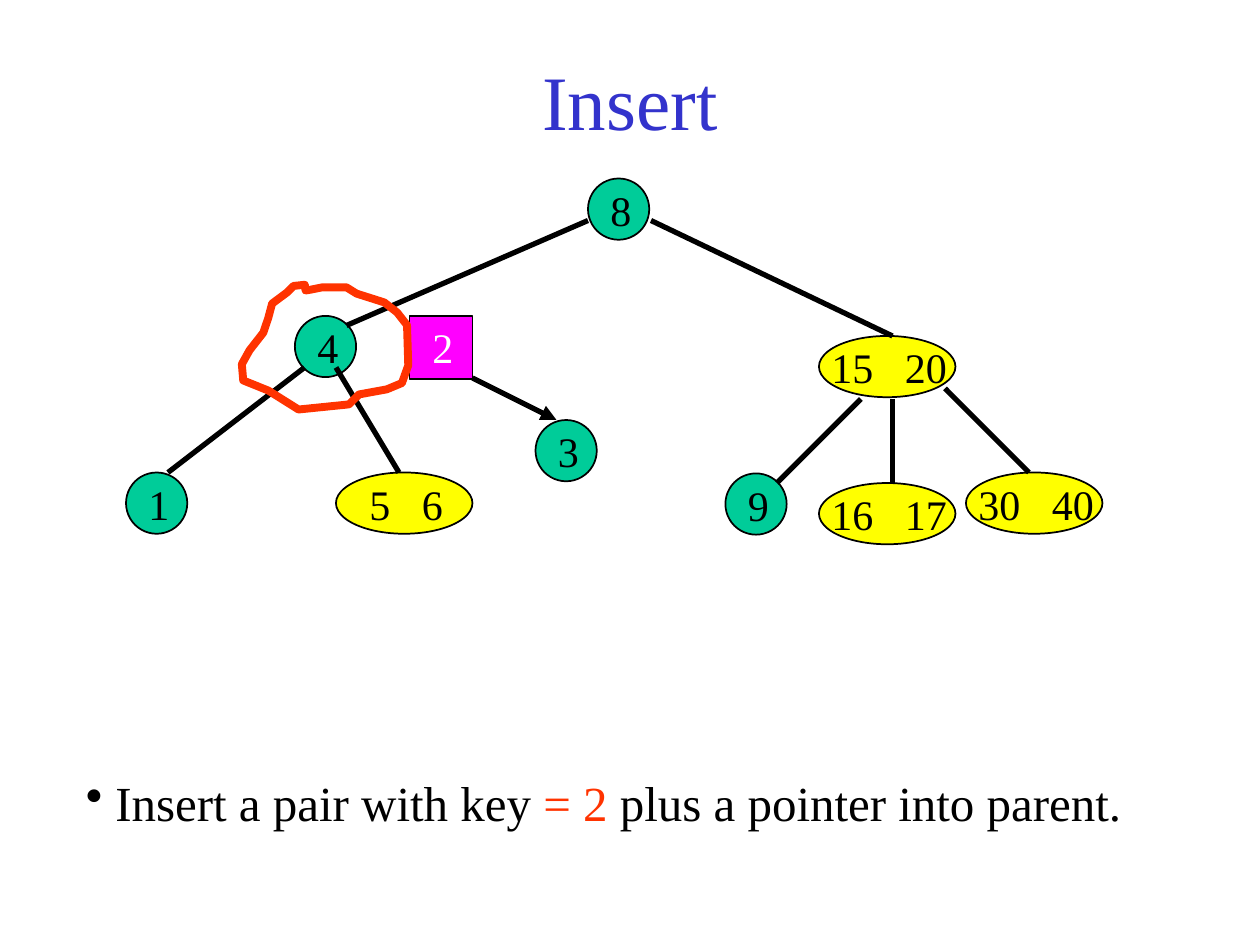
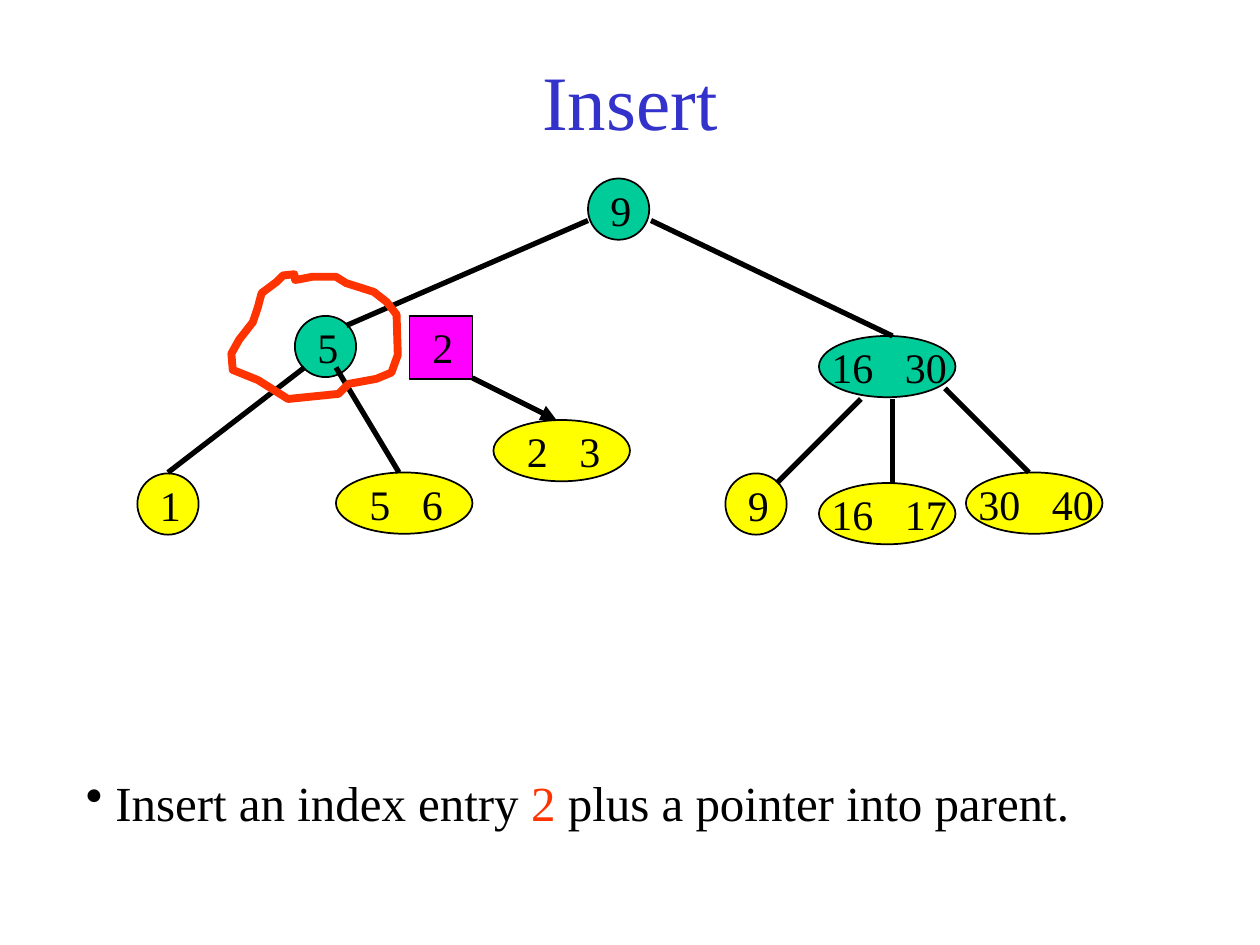
"""Two slides on insertion into a search tree: a key and a pointer move into the parent."""
import pptx
import pptx.dml.color
import pptx.enum.shapes
import pptx.enum.text
import pptx.oxml.ns
import pptx.util
from lxml import etree

Pt = pptx.util.Pt
SHAPE = pptx.enum.shapes.MSO_SHAPE
qn = pptx.oxml.ns.qn
FONT = "Times New Roman"
COLORS = {
    "title": "3333CC", "text": "000000", "light": "FFFFFF", "accent": "FF3300",
    "green": "00CC99", "yellow": "FFFF00", "entry": "FF00FF",
}
NODE_HEIGHT, NODE_WIDE, ENTRY_SIZE = 35, 78, 36

LINKS = [
    (336, 126, 198, 186), (372, 126, 510, 192), (174, 210, 96, 270),
    (492, 228, 444, 276), (540, 222, 588, 270), (192, 210, 228, 270),
    (510, 228, 510, 276), (270, 216, 318, 240),
]
LOOP = [
    (174.2, 162.7), (167.8, 163.4), (164.2, 167), (155.5, 173.5), (153.3, 181.8),
    (150.5, 190.1), (142.6, 200.2), (138.2, 208.1), (139, 217.4), (153.4, 223.2),
    (170.6, 234), (199.4, 231.1), (205.2, 225.4), (221, 222.5), (229.7, 218.9),
    (233.3, 208.8), (232.6, 185.8), (226.9, 178.5), (219.6, 172.8), (203.8, 167.8),
    (198, 164.2), (184.3, 164.2), (177.1, 165.6), (174.6, 166),
]
SHARED_LEAVES = [("5 6", 192, 270, "yellow"), ("16 17", 468, 276, "yellow"),
                 ("30 40", 552, 270, "yellow")]
STEPS = [
    {
        "nodes": [("8", 336, 102, "green"), ("4", 168.5, 180.5, "green"),
                  ("15 20", 468, 192, "yellow"), ("1", 72, 270, "green"),
                  ("3", 306, 240, "green"), ("9", 414.5, 270.5, "green")],
        "entry_color": "light",
        "loop_shift": 0,
        "note": [("Insert a pair with key ", "text"), ("= 2 ", "accent"),
                 ("plus a pointer into parent.", "text")],
    },
    {
        "nodes": [("9", 336, 102, "green"), ("5", 168.5, 180.5, "green"),
                  ("16 30", 468, 192, "green"), ("1", 78.5, 270.5, "yellow"),
                  ("2 3", 282, 240, "yellow"), ("9", 414.5, 270.5, "yellow")],
        "entry_color": "text",
        "loop_shift": -6,
        "note": [("Insert an index entry ", "text"), ("2 ", "accent"),
                 ("plus a pointer into parent.", "text")],
    },
]


def add_text(slide, box, pieces, size):
    """Add a text box of coloured runs and return its text frame."""
    frame = slide.shapes.add_textbox(*map(Pt, box)).text_frame
    frame.word_wrap = True
    for words, color in pieces:
        run = frame.paragraphs[0].add_run()
        run.text = words
        run.font.name = FONT
        run.font.size = Pt(size)
        run.font.color.rgb = pptx.dml.color.RGBColor.from_string(COLORS[color])
    return frame


def add_outlined(slide, kind, box, fill):
    """Add a filled shape with a thin black outline."""
    shape = slide.shapes.add_shape(kind, *map(Pt, box))
    shape.shadow.inherit = False
    shape.fill.solid()
    shape.fill.fore_color.rgb = pptx.dml.color.RGBColor.from_string(COLORS[fill])
    shape.line.color.rgb = pptx.dml.color.RGBColor.from_string(COLORS["text"])
    shape.line.width = Pt(1)


deck = pptx.Presentation()
deck.slide_width, deck.slide_height = Pt(720), Pt(540)

for step in STEPS:
    slide = deck.slides.add_slide(deck.slide_layouts[6])
    title = add_text(slide, (54, 12, 612, 90), [("Insert", "title")], 44)
    title.vertical_anchor = pptx.enum.text.MSO_ANCHOR.MIDDLE
    title.paragraphs[0].alignment = pptx.enum.text.PP_ALIGN.CENTER

    for label, x, y, fill in step["nodes"] + SHARED_LEAVES:
        keys = label.split()
        width = NODE_HEIGHT if len(keys) == 1 else NODE_WIDE
        add_outlined(slide, SHAPE.OVAL, (x, y, width, NODE_HEIGHT), fill)
        if len(keys) == 1:
            shift, label_width = 5.75, 30
        elif len(keys[0]) == 1:
            shift, label_width = 12, 60
        else:
            shift, label_width = 0, 108
        frame = add_text(slide, (x + shift, y - 0.25, label_width, 36),
                         [("\t".join(keys), "text")], 24)
        if len(keys) == 2:
            properties = frame.paragraphs[0]._p.get_or_add_pPr()
            stops = etree.SubElement(properties, qn("a:tabLst"))
            second_key = 12 * len(keys[0]) + 18
            etree.SubElement(stops, qn("a:tab"), pos=str(Pt(second_key)), algn="l")

    add_outlined(slide, SHAPE.RECTANGLE, (234, 180.5, ENTRY_SIZE, ENTRY_SIZE), "entry")
    add_text(slide, (240, 180, 54, 36), [("2", step["entry_color"])], 24)

    for ends in LINKS:
        link = slide.shapes.add_connector(
            pptx.enum.shapes.MSO_CONNECTOR.STRAIGHT, *map(Pt, ends))
        link.line.color.rgb = pptx.dml.color.RGBColor.from_string(COLORS["text"])
        link.line.width = Pt(3)
        etree.SubElement(link._element.spPr, qn("a:effectLst"))
    etree.SubElement(link.line._get_or_add_ln(), qn("a:tailEnd"), type="triangle")

    outline = [(Pt(x), Pt(y)) for x, y in LOOP]
    builder = slide.shapes.build_freeform(*outline[0])
    builder.add_line_segments(outline[1:], close=True)
    loop = builder.convert_to_shape(Pt(step["loop_shift"]), Pt(step["loop_shift"]))
    loop.shadow.inherit = False
    loop.fill.background()
    loop.line.color.rgb = pptx.dml.color.RGBColor.from_string(COLORS["accent"])
    loop.line.width = Pt(4.5)
    etree.SubElement(loop.line._get_or_add_ln(), qn("a:round"))

    note = add_text(slide, (42, 438, 636, 41), step["note"], 28)
    properties = note.paragraphs[0]._p.get_or_add_pPr()
    properties.set("marL", str(Pt(16.8)))
    properties.set("indent", str(Pt(-16.8)))
    etree.SubElement(properties, qn("a:buChar"), char="•")

deck.save("out.pptx")
